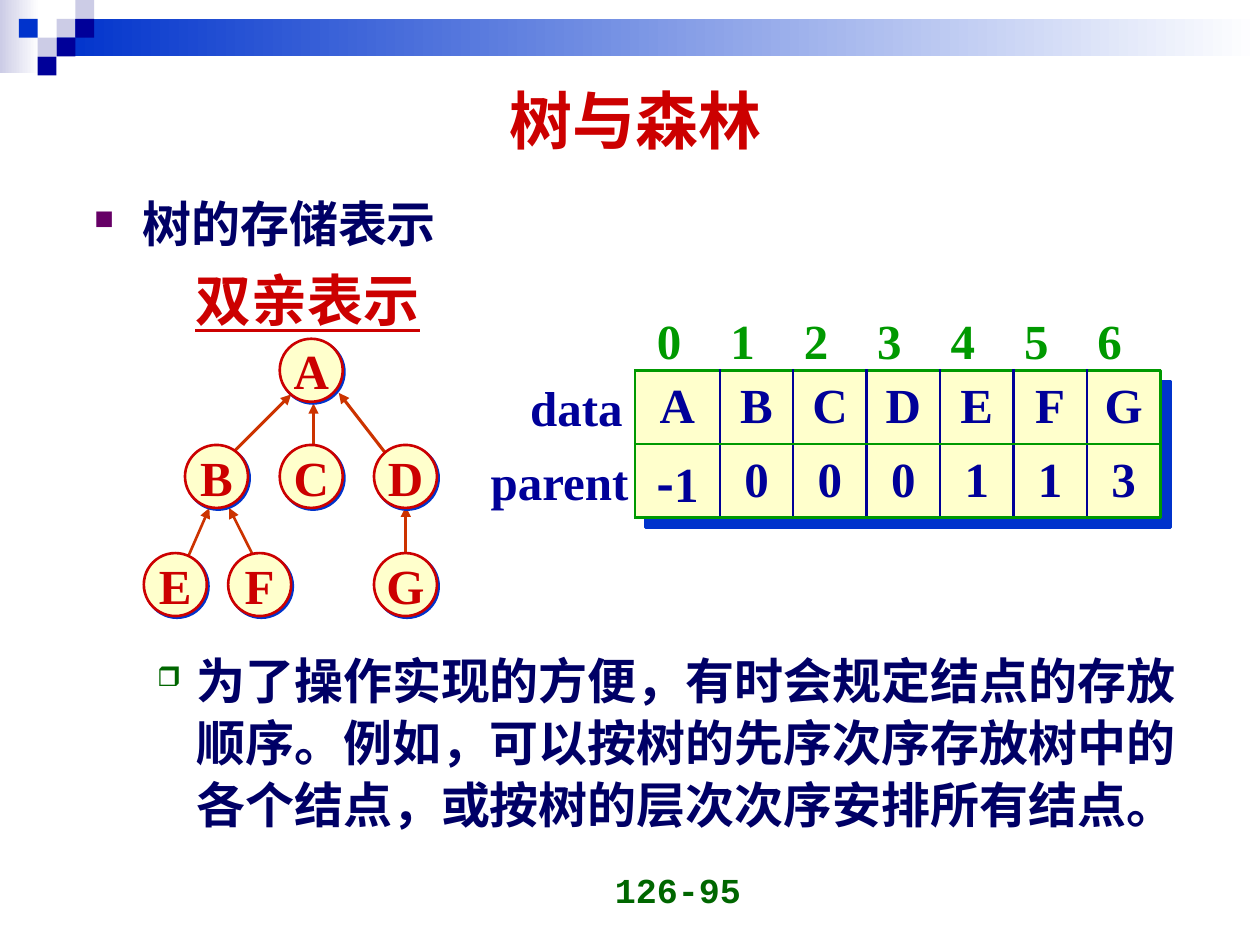
import pptx
import pptx.dml.color
import pptx.enum.shapes
import pptx.enum.text
import pptx.oxml
import pptx.oxml.ns
import pptx.util
from pptx.util import Cm, Pt

NAMESPACE = pptx.oxml.ns.nsdecls("a")
SHAPE = pptx.enum.shapes.MSO_SHAPE
STRAIGHT = pptx.enum.shapes.MSO_CONNECTOR.STRAIGHT
ALIGN = pptx.enum.text.PP_ALIGN
ANCHOR = pptx.enum.text.MSO_ANCHOR
SERIF = "Times New Roman"
CJK = "Noto Sans CJK SC"
RED, NAVY, INK, BLUE = "CC0000", "000099", "000066", "0033CC"
GREEN, DARK_GREEN, CREAM, LAVENDER = "009900", "006600", "FFFFCC", "CCCCE6"


def colour(code):
    return pptx.dml.color.RGBColor.from_string(code)


def add_span(para, text, size, code, font=SERIF):
    """Add one bold run, with a CJK face for its Chinese characters."""
    span = para.add_run()
    span.text = text
    span.font.size = Pt(size)
    span.font.bold = True
    span.font.color.rgb = colour(code)
    span.font.name = font
    span.font._element.append(
        pptx.oxml.parse_xml(f'<a:ea {NAMESPACE} typeface="{CJK}"/>'))
    return span


deck = pptx.Presentation()
deck.slide_width, deck.slide_height = Cm(25.4), Cm(19.05)
page = deck.slides.add_slide(deck.slide_layouts[6])
shapes = page.shapes

# Header band: two gradients and a checker of small squares
for left, top, width, height, start in [
        (0, 0, 0.79, 1.47, LAVENDER), (1.14, 0.38, 24.26, 0.76, BLUE)]:
    band = shapes.add_shape(SHAPE.RECTANGLE, Cm(left), Cm(top), Cm(width), Cm(height))
    band.shadow.inherit = False
    band.line.fill.background()
    band.fill.gradient()
    band.fill.gradient_angle = 0
    for stop, code in zip(band.fill.gradient_stops, (start, "FFFFFF")):
        stop.color.rgb = colour(code)

SQUARE = 0.38
for column, row, code in [(3, 1, LAVENDER), (4, 0, LAVENDER), (4, 1, NAVY),
                          (2, 2, LAVENDER), (1, 1, BLUE), (3, 2, NAVY), (2, 3, NAVY)]:
    square = shapes.add_shape(SHAPE.RECTANGLE, Cm(column * SQUARE), Cm(row * SQUARE),
                              Cm(SQUARE), Cm(SQUARE))
    square.shadow.inherit = False
    square.line.fill.background()
    square.fill.solid()
    square.fill.fore_color.rgb = colour(code)

# Title, page number, row labels and column indices
CELL_WIDTH, ROW_HEIGHT = 1.48, 1.48
labels = [
    (7.6, 1.32, 10.44, 2.18, "树与森林", 36, RED, SERIF, ALIGN.CENTER, ANCHOR.MIDDLE),
    (9.27, 17.35, 5.67, 1.14, "126-95", 20, DARK_GREEN, "Courier New",
     ALIGN.RIGHT, ANCHOR.BOTTOM),
    (10.44, 7.47, 2.36, 1.45, "data", 28, NAVY, SERIF, ALIGN.CENTER, ANCHOR.MIDDLE),
    (9.63, 8.97, 3.3, 1.45, "parent", 28, NAVY, SERIF, ALIGN.CENTER, ANCHOR.MIDDLE),
]
for index in range(7):
    labels.append((12.89 + index * CELL_WIDTH, 6.12, 1.2, 1.45, str(index), 28,
                   GREEN, SERIF, ALIGN.CENTER, ANCHOR.MIDDLE))
for left, top, width, height, text, size, code, font, align, anchor in labels:
    box = shapes.add_textbox(Cm(left), Cm(top), Cm(width), Cm(height))
    frame = box.text_frame
    frame.word_wrap = True
    frame.margin_left = frame.margin_right = 0
    frame.vertical_anchor = anchor
    frame.paragraphs[0].alignment = align
    add_span(frame.paragraphs[0], text, size, code, font)

# Body text: (text, size, colour, font, line pitch, space before, margin, indent, bullet)
bodies = [
    (3.72, 3.2, [
        ("树的存储表示", 28, INK, "Arial", 35.4, 0, 0.97, -0.97, ("■", "660066")),
        ("双亲表示", 32, RED, SERIF, 40, 6, 2.04, 0, None)]),
    (12.92, 4.2, [
        ("为了操作实现的方便，有时会规定结点的存放顺序。例如，可以按树的先序次序存放"
         "树中的各个结点，或按树的层次次序安排所有结点。",
         28, INK, SERIF, 35.4, 0, 2.06, -0.79, ("❒", DARK_GREEN))]),
]
for top, height, lines in bodies:
    box = shapes.add_textbox(Cm(1.65), Cm(top), Cm(22.45), Cm(height))
    frame = box.text_frame
    frame.word_wrap = True
    for number, line in enumerate(lines):
        text, size, code, font, pitch, before, margin, indent, bullet = line
        para = frame.add_paragraph() if number else frame.paragraphs[0]
        para.line_spacing = Pt(pitch)
        para.space_before = Pt(before)
        span = add_span(para, text, size, code, font)
        properties = para._p.get_or_add_pPr()
        properties.set("marL", str(Cm(margin)))
        properties.set("indent", str(Cm(indent)))
        if bullet:
            mark, mark_code = bullet
            for xml in (f'<a:buClr {NAMESPACE}><a:srgbClr val="{mark_code}"/></a:buClr>',
                        f'<a:buSzPct {NAMESPACE} val="55000"/>',
                        f'<a:buChar {NAMESPACE} char="{mark}"/>'):
                properties.append(pptx.oxml.parse_xml(xml))
        else:
            span.font.underline = True

# Tree: arrows run from child to parent, behind the nodes
for start_x, start_y, end_x, end_y, weight in [
        (8.18, 11.71, 8.18, 10.21, 1.5), (8.31, 9.83, 6.83, 7.92, 1.75),
        (5.26, 11.51, 4.62, 10.24, 1.5), (3.58, 11.71, 4.22, 10.24, 1.5),
        (4.6, 9.22, 5.87, 7.95, 1.75), (6.32, 9.4, 6.32, 8.13, 1.75)]:
    arrow = shapes.add_connector(STRAIGHT, Cm(start_x), Cm(start_y), Cm(end_x), Cm(end_y))
    arrow.line.color.rgb = colour("CC3300")
    arrow.line.width = Pt(weight)
    arrow.line._get_or_add_ln().append(
        pptx.oxml.parse_xml(f'<a:tailEnd {NAMESPACE} type="triangle"/>'))
    arrow._element.spPr.append(pptx.oxml.parse_xml(f"<a:effectLst {NAMESPACE}/>"))

# Nodes and the backing of the array, each with a hard blue shadow
DIAMETER = 1.27
TABLE_LEFT, TABLE_TOP, FIRST_WIDTH = 12.8, 7.47, 1.71
TABLE_WIDTH = FIRST_WIDTH + 6 * CELL_WIDTH
solids = [(SHAPE.OVAL, left, top, DIAMETER, DIAMETER, name, RED, 1.4)
          for name, left, top in [
              ("A", 5.64, 6.83), ("B", 3.73, 8.97), ("C", 5.64, 8.97), ("D", 7.54, 8.97),
              ("E", 2.9, 11.15), ("F", 4.6, 11.15), ("G", 7.54, 11.15)]]
solids.append((SHAPE.RECTANGLE, TABLE_LEFT, TABLE_TOP, TABLE_WIDTH, 2 * ROW_HEIGHT,
               "", GREEN, 8.5))
for kind, left, top, width, height, name, code, distance in solids:
    solid = shapes.add_shape(kind, Cm(left), Cm(top), Cm(width), Cm(height))
    solid.fill.solid()
    solid.fill.fore_color.rgb = colour(CREAM)
    solid.line.color.rgb = colour(code)
    solid.line.width = Pt(1.5)
    solid._element.spPr.append(pptx.oxml.parse_xml(
        f'<a:effectLst {NAMESPACE}><a:outerShdw dist="{Pt(distance)}" dir="2700000" '
        f'algn="ctr" rotWithShape="0"><a:srgbClr val="{BLUE}"/></a:outerShdw></a:effectLst>'))
    if name:
        frame = solid.text_frame
        frame.word_wrap = False
        frame.margin_left = frame.margin_right = frame.margin_top = frame.margin_bottom = 0
        frame.vertical_anchor = ANCHOR.MIDDLE
        frame.paragraphs[0].alignment = ALIGN.CENTER
        add_span(frame.paragraphs[0], name, 28, RED)

# Parent array
rows = [list("ABCDEFG"), ["-1", "0", "0", "0", "1", "1", "3"]]
table = shapes.add_table(2, 7, Cm(TABLE_LEFT), Cm(TABLE_TOP),
                         Cm(TABLE_WIDTH), Cm(2 * ROW_HEIGHT)).table
table.first_row = table.horz_banding = False
for index, column in enumerate(table.columns):
    column.width = Cm(CELL_WIDTH if index else FIRST_WIDTH)
for row_index, values in enumerate(rows):
    table.rows[row_index].height = Cm(ROW_HEIGHT)
    for index, value in enumerate(values):
        cell = table.cell(row_index, index)
        cell.margin_left = cell.margin_right = cell.margin_top = cell.margin_bottom = 0
        cell.vertical_anchor = ANCHOR.MIDDLE
        borders = {"lnL": NAVY if index else GREEN, "lnR": NAVY if index < 6 else GREEN,
                   "lnT": GREEN, "lnB": GREEN}
        for side, code in borders.items():
            cell._tc.get_or_add_tcPr().append(pptx.oxml.parse_xml(
                f'<a:{side} {NAMESPACE} w="{Pt(1.5)}"><a:solidFill><a:srgbClr val="{code}"/>'
                f'</a:solidFill></a:{side}>'))
        cell.fill.solid()
        cell.fill.fore_color.rgb = colour(CREAM)
        para = cell.text_frame.paragraphs[0]
        para.alignment = ALIGN.CENTER
        for character in value:
            add_span(para, character, 28, NAVY, CJK if character == "-" else SERIF)

deck.save("out.pptx")
